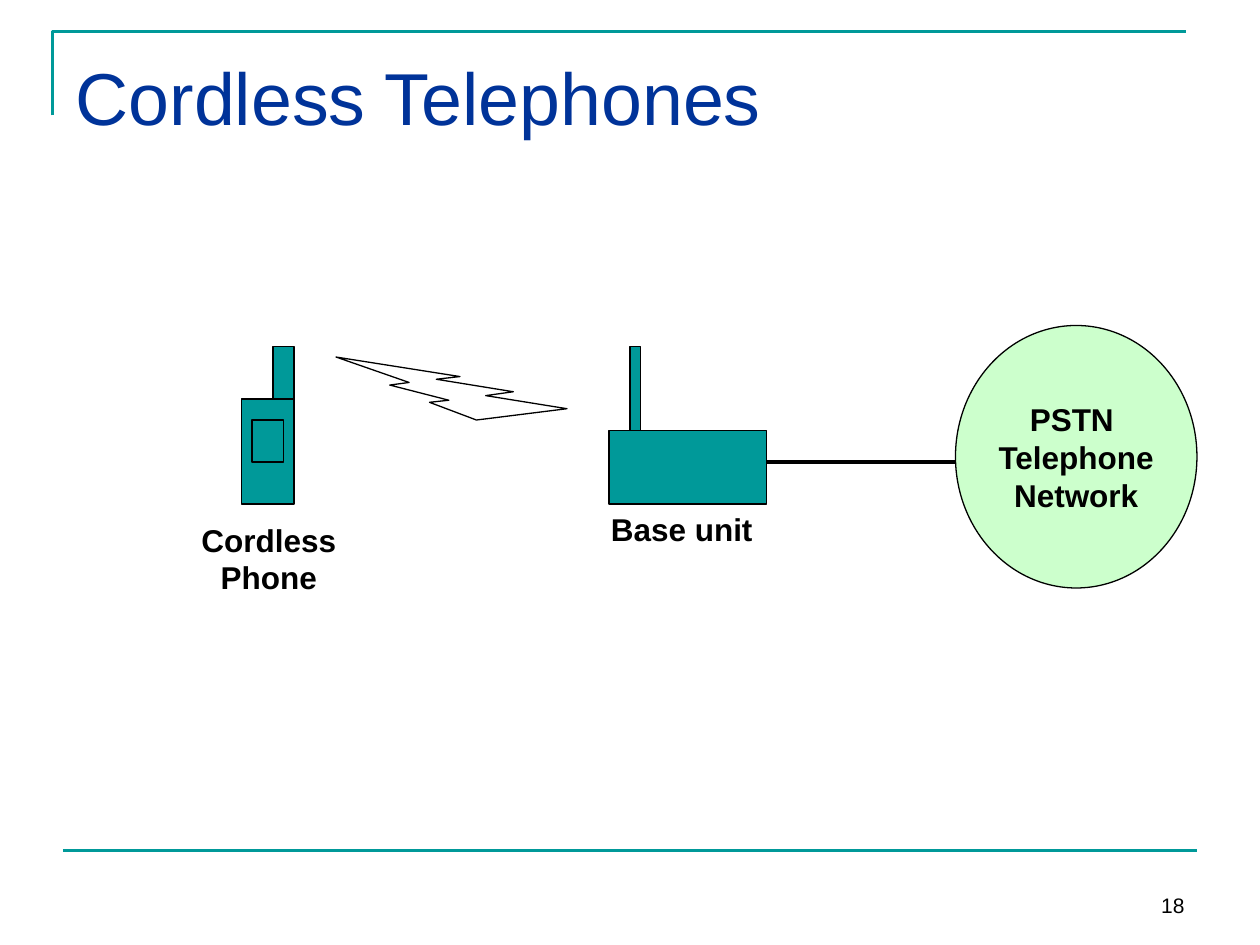
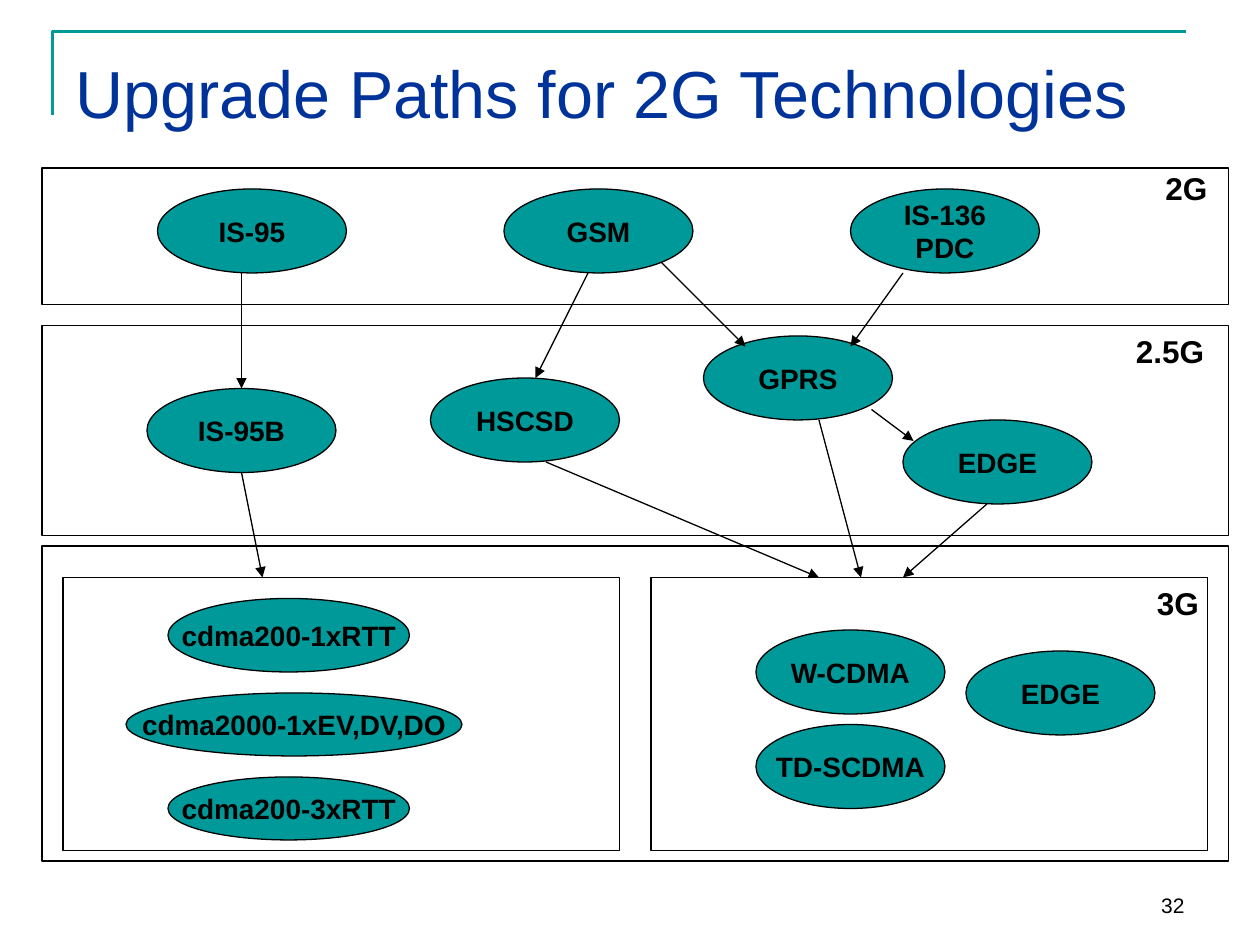
from dataclasses import dataclass
from typing import NamedTuple

from lxml import etree
from pptx import Presentation
from pptx.dml.color import RGBColor
from pptx.enum.shapes import MSO_CONNECTOR, MSO_SHAPE
from pptx.enum.text import MSO_ANCHOR, MSO_AUTO_SIZE, PP_ALIGN
from pptx.oxml.ns import qn
from pptx.util import Cm, Pt

RECT = MSO_SHAPE.RECTANGLE
OVAL = MSO_SHAPE.OVAL
BOLT = MSO_SHAPE.LIGHTNING_BOLT
LINE = MSO_CONNECTOR.STRAIGHT
TOP, MID, BASE = MSO_ANCHOR.TOP, MSO_ANCHOR.MIDDLE, MSO_ANCHOR.BOTTOM
LEFT, MIDST, RIGHT = PP_ALIGN.LEFT, PP_ALIGN.CENTER, PP_ALIGN.RIGHT
FIXED = MSO_AUTO_SIZE.NONE
STEP = 25.4 / 120


@dataclass(frozen=True)
class Theme:
    font: str = "Arial"
    teal: RGBColor = RGBColor(0x00, 0x99, 0x99)
    navy: RGBColor = RGBColor(0x00, 0x33, 0x99)
    mint: RGBColor = RGBColor(0xCC, 0xFF, 0xCC)
    ink: RGBColor = RGBColor(0, 0, 0)
    paper: RGBColor = RGBColor(0xFF, 0xFF, 0xFF)
    label: int = 18
    node: int = 16
    foot: int = 12
    thin: float = 0.75
    rule: float = 1.5
    wire: float = 2.25


THEME = Theme()


class Box(NamedTuple):
    x: float
    y: float
    w: float
    h: float


class Node(NamedTuple):
    text: str
    x: float
    y: float
    w: float = 18
    h: float = 8


class Link(NamedTuple):
    x: float
    y: float
    to_x: float
    to_y: float


class Label(NamedTuple):
    text: str
    box: Box
    align: PP_ALIGN = LEFT


def grid(count: float) -> Cm:
    return Cm(count * STEP)


def place(box: Box) -> list:
    return [grid(side) for side in box]


def write(shape, text: str, size: int, align=MIDST, anchor=MID,
          color=THEME.ink, bold: bool = True, wrap: bool = False) -> None:
    frame = shape.text_frame
    frame.text = text
    frame.auto_size = FIXED
    frame.word_wrap = wrap
    frame.vertical_anchor = anchor
    for para in frame.paragraphs:
        para.alignment = align
        font = para.font
        font.name, font.size, font.bold = THEME.font, Pt(size), bold
        font.color.rgb = color


def draw(slide, kind, box: Box, fill=THEME.teal):
    shape = slide.shapes.add_shape(kind, *place(box))
    shape.shadow.inherit = False
    shape.fill.solid()
    shape.fill.fore_color.rgb = fill
    shape.line.color.rgb = THEME.ink
    shape.line.width = Pt(THEME.thin)
    return shape


def join(slide, link: Link, width: float = THEME.thin,
         color=THEME.ink, arrow: bool = False) -> None:
    wire = slide.shapes.add_connector(LINE, *(grid(end) for end in link))
    wire.line.color.rgb = color
    wire.line.width = Pt(width)
    props = wire._element.spPr
    if arrow:
        etree.SubElement(props.find(qn("a:ln")), qn("a:tailEnd"), type="triangle")
    etree.SubElement(props, qn("a:effectLst"))


def tag(slide, label: Label) -> None:
    shape = slide.shapes.add_textbox(*place(label.box))
    write(shape, label.text, THEME.label, label.align, TOP)


def start(deck, title: str, size: int, number: int):
    slide = deck.slides.add_slide(deck.slide_layouts[5])
    head = slide.shapes.title
    head.left, head.top, head.width, head.height = place(Box(6, 3.6, 108, 15))
    write(head, title, size, LEFT, TOP, THEME.navy, False, True)
    head.text_frame.margin_top = Cm(0.28)

    pen = slide.shapes.build_freeform(grid(5), grid(11))
    pen.add_line_segments([(grid(5), grid(3)), (grid(113), grid(3))], close=False)
    frame = pen.convert_to_shape()
    frame.shadow.inherit = False
    frame.fill.background()
    frame.line.color.rgb = THEME.teal
    frame.line.width = Pt(THEME.rule)

    foot = slide.shapes.add_textbox(*place(Box(86, 82, 28, 6)))
    write(foot, str(number), THEME.foot, RIGHT, BASE, bold=False, wrap=True)
    return slide


def phones(deck) -> None:
    slide = start(deck, "Cordless Telephones", 42, 18)
    join(slide, Link(6, 81, 114, 81), THEME.rule, THEME.teal)
    base = Box(58, 41, 15, 7)
    mast = Box(60, 33, 1, 8)
    hand = Box(23, 38, 5, 10)
    stub = Box(26, 33, 2, 5)
    screen = Box(24, 40, 3, 4)
    for part in (base, mast, hand, stub, screen):
        draw(slide, RECT, part)
    draw(slide, BOLT, Box(32, 34, 22, 6), THEME.paper).rotation = 180
    cloud = draw(slide, OVAL, Box(91, 31, 23, 25), THEME.mint)
    write(cloud, "PSTN \nTelephone\nNetwork", THEME.label)
    join(slide, Link(73, 44, 91, 44), THEME.wire)
    tag(slide, Label("Cordless\nPhone", Box(18, 49, 15.2, 8.4), MIDST))
    tag(slide, Label("Base unit", Box(57, 48, 15.8, 4.8)))


PANELS = [
    Box(4, 16, 113, 13),
    Box(4, 31, 113, 20),
    Box(4, 52, 113, 30),
    Box(62, 55, 53, 26),
    Box(6, 55, 53, 26),
]
NODES = [
    Node("IS-95", 15, 18),
    Node("GSM", 48, 18),
    Node("IS-136\nPDC", 81, 18),
    Node("IS-95B", 14, 37),
    Node("HSCSD", 41, 36),
    Node("GPRS", 67, 32),
    Node("EDGE", 86, 40),
    Node("W-CDMA", 72, 60),
    Node("EDGE", 92, 62),
    Node("TD-SCDMA", 72, 69),
    Node("cdma200-1xRTT", 16, 57, 23, 7),
    Node("cdma2000-1xEV,DV,DO", 12, 66, 32, 6),
    Node("cdma200-3xRTT", 16, 74, 23, 6),
]
LINKS = [
    Link(23, 26, 23, 37),
    Link(56, 26, 51, 36),
    Link(63, 25, 71, 33),
    Link(86, 26, 81, 33),
    Link(83, 39, 87, 42),
    Link(78, 40, 82, 55),
    Link(52, 44, 78, 55),
    Link(94, 48, 86, 55),
    Link(23, 45, 25, 55),
]
LABELS = [
    Label("2G", Box(109.8, 15.5, 6.4, 4.8)),
    Label("2.5G", Box(107, 31, 8.9, 4.8)),
    Label("3G", Box(109, 55, 6.4, 4.8)),
]


def paths(deck) -> None:
    slide = start(deck, "Upgrade Paths for 2G Technologies", 38, 32)
    for panel in PANELS:
        draw(slide, RECT, panel, THEME.paper)
    for node in NODES:
        shape = draw(slide, OVAL, Box(*node[1:]))
        write(shape, node.text, THEME.node)
    for link in LINKS:
        join(slide, link, arrow=True)
    for label in LABELS:
        tag(slide, label)


def main() -> None:
    deck = Presentation()
    deck.slide_width, deck.slide_height = Cm(25.4), Cm(19.05)
    phones(deck)
    paths(deck)
    deck.save("out.pptx")


if __name__ == "__main__":
    main()
